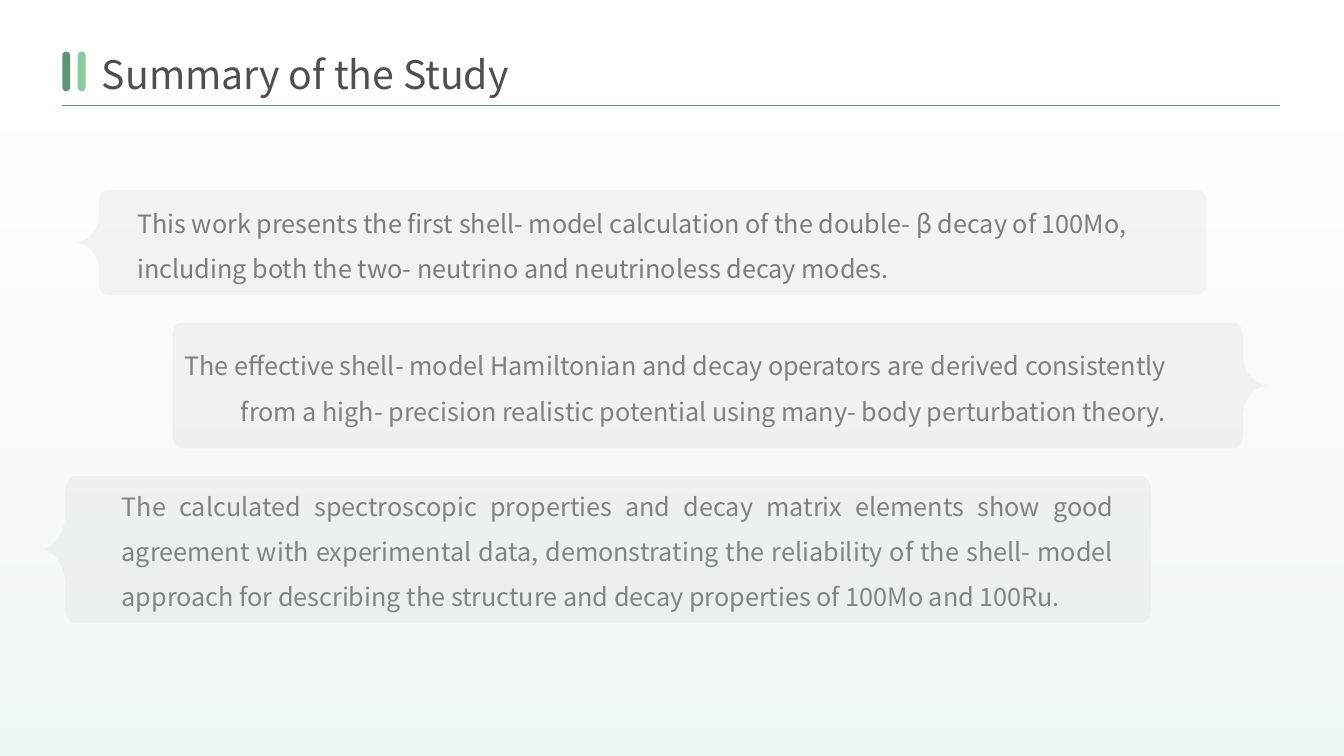
from dataclasses import dataclass

import pptx
import pptx.dml.color
import pptx.enum.shapes
import pptx.enum.text
import pptx.oxml.ns
import pptx.util
from lxml import etree
from pptx.util import Cm, Pt

ALIGN = pptx.enum.text.PP_ALIGN
ANCHOR = pptx.enum.text.MSO_ANCHOR
SHAPE = pptx.enum.shapes.MSO_SHAPE
qn = pptx.oxml.ns.qn


@dataclass(frozen=True)
class Theme:
    font: str = "Noto Sans CJK SC"
    title_size: int = 28
    body_size: int = 18
    title: str = "262626"
    body: str = "595959"
    bubble: str = "F2F2F2"
    dark: str = "397D54"
    light: str = "73C088"
    mist: str = "D2EADC"
    white: str = "FFFFFF"


THEME = Theme()


def rgb(value):
    return pptx.dml.color.RGBColor.from_string(value)


def fill_plain(sp, color):
    sp.shadow.inherit = False
    sp.fill.solid()
    sp.fill.fore_color.rgb = rgb(color)
    sp.line.fill.background()


def set_text(sp, text, size, color, align, spacing, anchor):
    tf = sp.text_frame
    tf.word_wrap = True
    tf.auto_size = pptx.enum.text.MSO_AUTO_SIZE.NONE
    tf.vertical_anchor = anchor
    tf.margin_left = tf.margin_right = tf.margin_top = tf.margin_bottom = 0
    p = tf.paragraphs[0]
    p.text = text
    p.alignment = align
    p.line_spacing = spacing
    p.space_before = Pt(0)
    p.font.name = THEME.font
    p.font.size = Pt(size)
    p.font.color.rgb = rgb(color)


def add_header(s, text, left, top, width):
    # Two upright bars
    for i, color in enumerate((THEME.dark, THEME.light)):
        bar = s.shapes.add_shape(SHAPE.ROUNDED_RECTANGLE, left + i * Cm(0.39), top,
                                 Cm(0.2), Cm(1))
        bar.adjustments[0] = 0.5
        fill_plain(bar, color)
    # Title
    title = s.shapes.title
    title.left, title.top = left + Cm(1), top - Cm(0.15)
    title.width, title.height = Cm(27.86), Cm(1.3)
    set_text(title, text, THEME.title_size, THEME.title, ALIGN.LEFT, 1.1, ANCHOR.MIDDLE)
    # Rule under the title
    y = top + Cm(1.35)
    rule = s.shapes.add_connector(pptx.enum.shapes.MSO_CONNECTOR.STRAIGHT,
                                  left, y, left + width, y)
    rule.line.color.rgb = rgb(THEME.dark)
    rule.line.width = Pt(0.5)
    etree.SubElement(rule._element.spPr, qn("a:effectLst"))


def bend(line, start, corner, end):
    """Turn a straight segment into a quarter ellipse pulled towards corner."""
    curve = etree.Element(qn("a:cubicBezTo"))
    pulled = [[round(a + 0.55 * (c - a)) for a, c in zip(point, corner)]
              for point in (start, end)]
    for x, y in (*pulled, end):
        etree.SubElement(curve, qn("a:pt"), x=str(x), y=str(y))
    line.getparent().replace(line, curve)


def add_bubble(s, left, top, width, height, tail_right):
    """Rounded box with a curved tail halfway up one side."""
    right, bottom, middle = left + width, top + height, top + height // 2
    rx, ry = Cm(0.23), height // 10
    depth, half = Cm(0.64), height // 4
    # End of each segment, with the corner it bends towards
    outline = [((right - rx, top), None),
               ((right, top + ry), (right, top)),
               ((right, bottom - ry), None),
               ((right - rx, bottom), (right, bottom)),
               ((left + rx, bottom), None),
               ((left, bottom - ry), (left, bottom)),
               ((left, middle + half), None),
               ((left - depth, middle), (left, middle)),
               ((left, middle - half), (left, middle)),
               ((left, top + ry), None),
               ((left + rx, top), (left, top))]
    if tail_right:
        outline = [[pt and (left + right - pt[0], pt[1]) for pt in pair]
                   for pair in outline]
    ends = [end for end, corner in outline]
    builder = s.shapes.build_freeform(*ends[0])
    builder.add_line_segments(ends[1:], close=True)
    sp = builder.convert_to_shape()
    fill_plain(sp, THEME.bubble)

    def local(point):
        return point[0] - sp.left, point[1] - sp.top

    lines = list(sp._element.iter(qn("a:lnTo")))
    for line, start, (end, corner) in zip(lines, ends, outline[1:]):
        if corner:
            bend(line, local(start), local(corner), local(end))


def add_finding(s, text, box, inset, align, anchor):
    left, top, width, height = map(Cm, box)
    add_bubble(s, left, top, width, height, align == ALIGN.RIGHT)
    tb = s.shapes.add_textbox(left + Cm(inset[0]), top + Cm(inset[1]), Cm(25), Cm(1.78))
    set_text(tb, text, THEME.body_size, THEME.body, align, 1.5, anchor)


def add_veil(s, width, height):
    """Translucent gradient over the whole slide, green at the foot."""
    veil = s.shapes.add_shape(SHAPE.RECTANGLE, 0, 0, width, height)
    veil.shadow.inherit = False
    veil.line.fill.background()
    veil.fill.gradient()
    veil.fill.gradient_angle = 90
    looks = ((THEME.mist, 34), (THEME.white, 18))
    for i, (stop, (color, opacity)) in enumerate(zip(veil.fill.gradient_stops, looks)):
        stop.position = i
        stop.color.rgb = rgb(color)
    for node, (color, opacity) in zip(veil._element.spPr.iter(qn("a:srgbClr")), looks):
        etree.SubElement(node, qn("a:alpha"), val=str(opacity * 1000))


FINDINGS = [
    ("This work presents the first shell- model calculation of the double- β decay of "
     "100Mo, including both the two- neutrino and neutrinoless decay modes.",
     (2.49, 4.79, 27.91, 2.64), (0.97, 0.32), ALIGN.LEFT, ANCHOR.MIDDLE),
    ("The effective shell- model Hamiltonian and decay operators are derived "
     "consistently from a high- precision realistic potential using many- body "
     "perturbation theory.",
     (4.35, 8.13, 26.97, 3.17), (0.05, 0.58), ALIGN.RIGHT, ANCHOR.MIDDLE),
    ("The calculated spectroscopic properties and decay matrix elements show good "
     "agreement with experimental data, demonstrating the reliability of the shell- "
     "model approach for describing the structure and decay properties of 100Mo and "
     "100Ru.",
     (1.65, 11.99, 27.36, 3.7), (1.42, 0), ALIGN.JUSTIFY, ANCHOR.TOP),
]


def main():
    prs = pptx.Presentation()
    prs.slide_width, prs.slide_height = Cm(33.87), Cm(19.05)
    s = prs.slides.add_slide(prs.slide_layouts[5])
    add_header(s, "Summary of the Study", Cm(1.57), Cm(1.3), Cm(30.69))
    for finding in FINDINGS:
        add_finding(s, *finding)
    add_veil(s, prs.slide_width, prs.slide_height)
    prs.save("out.pptx")


if __name__ == "__main__":
    main()
